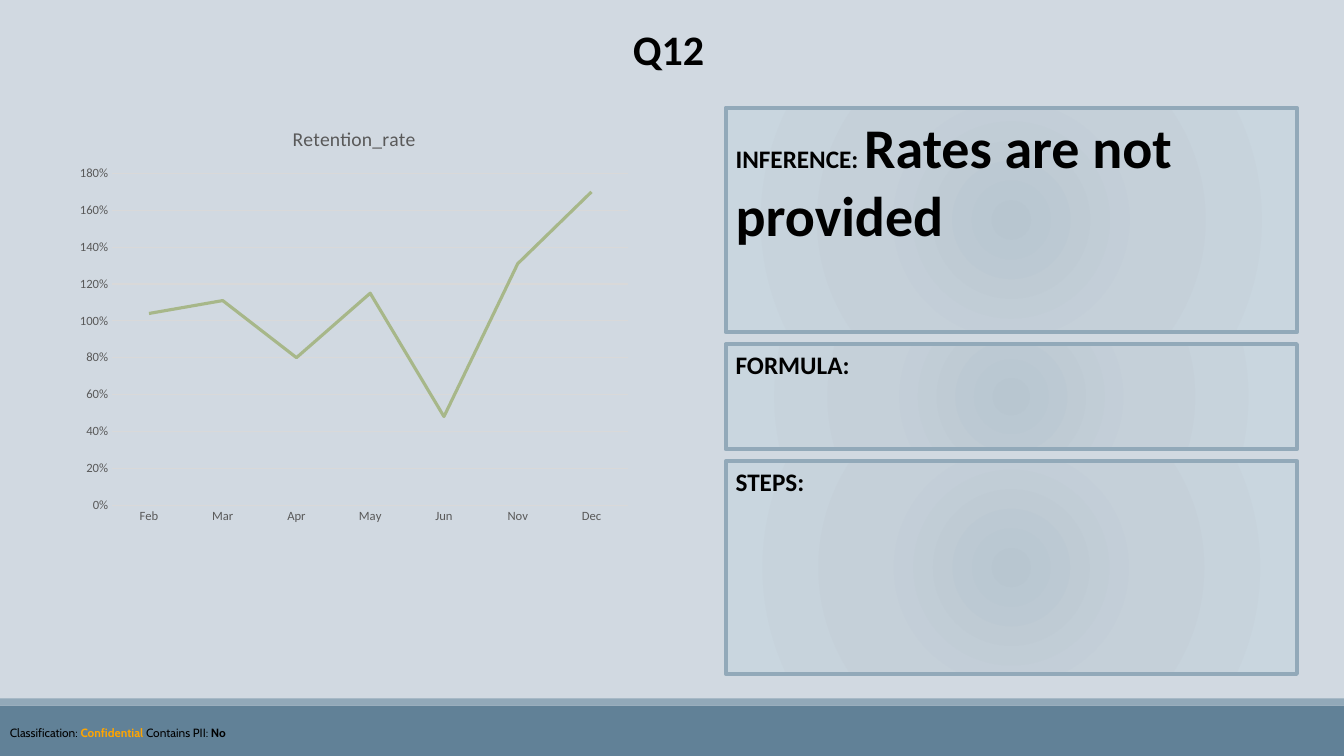
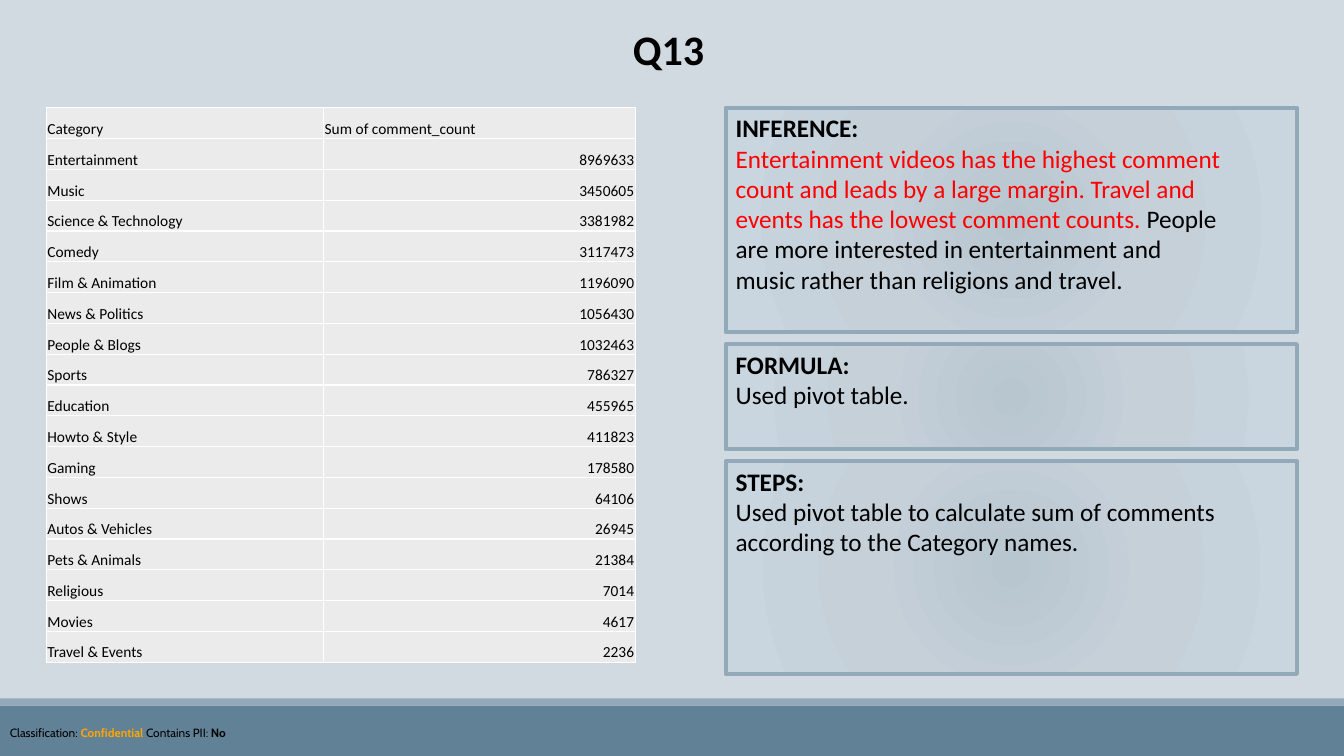
from pptx import Presentation, oxml
from pptx import util as u
from pptx.chart import data as chart_data
from pptx.dml import color
from pptx.enum import chart as charts, shapes, text
from pptx.oxml import ns

COLORS = {
    "page": "D1D9E1", "band": "618197", "trim": "92A9B9", "black": "000000",
    "orange": "FFA500", "red": "FF0000", "cell": "EBEBEB", "white": "FFFFFF",
    "line": "A7B789", "grid": "D9D9D9", "label": "595959",
    "core": "B8C6D0", "middle": "C5D0D9", "rim": "C9D6DF",
}
FONT, FOOTER_FONT = "Calibri", "Cabin"
WIDTH, HEIGHT = u.Inches(13.33), u.Inches(7.5)
COLUMNS, ROWS = 160, 90
TOP = 12.84
GAP = 1.44
PANEL_LEFT, PANEL_WIDTH, PANEL_TEXT_WIDTH = 86.4, 68, 60.24
PANEL_HEIGHTS = (26.7, 12.5, 25.3)

RETENTION = {"Feb": 1.04, "Mar": 1.11, "Apr": 0.8, "May": 1.15,
             "Jun": 0.48, "Nov": 1.31, "Dec": 1.7}
COMMENTS = [
    ("Category", "Sum of comment_count"),
    ("Entertainment", 8969633), ("Music", 3450605),
    ("Science & Technology", 3381982), ("Comedy", 3117473),
    ("Film & Animation", 1196090), ("News & Politics", 1056430),
    ("People & Blogs", 1032463), ("Sports", 786327), ("Education", 455965),
    ("Howto & Style", 411823), ("Gaming", 178580), ("Shows", 64106),
    ("Autos & Vehicles", 26945), ("Pets & Animals", 21384),
    ("Religious", 7014), ("Movies", 4617), ("Travel & Events", 2236),
]


def rgb(name):
    """Return the named palette colour."""
    return color.RGBColor.from_string(COLORS[name])


def place(box):
    """Turn grid columns and rows into slide lengths."""
    left, top, width, height = box
    return (int(left * WIDTH / COLUMNS), int(top * HEIGHT / ROWS),
            int(width * WIDTH / COLUMNS), int(height * HEIGHT / ROWS))


def style_font(font, size, name="black", bold=False, face=FONT):
    """Set the face, size, colour and weight of a font."""
    font.name, font.size, font.bold = face, u.Pt(size), bold
    font.color.rgb = rgb(name)


def add_spans(para, spans, face=FONT):
    """Add runs given as (words, size, colour, bold)."""
    for words, size, name, bold in spans:
        span = para.add_run()
        span.text = words
        style_font(span.font, size, name, bold, face)


def add_text(page, box, paras, face=FONT):
    """Add a wrapping text box with one list of runs per paragraph."""
    frame = page.shapes.add_textbox(*place(box)).text_frame
    frame.word_wrap = True
    frame.auto_size = text.MSO_AUTO_SIZE.SHAPE_TO_FIT_TEXT
    for index, spans in enumerate(paras):
        para = frame.add_paragraph() if index else frame.paragraphs[0]
        add_spans(para, spans, face)


def add_rectangle(page, box):
    """Add a rectangle without shadow or outline."""
    shape = page.shapes.add_shape(shapes.MSO_SHAPE.RECTANGLE, *place(box))
    shape.shadow.inherit = False
    shape.line.fill.background()
    return shape


def add_footer(page):
    """Draw the two bottom bands and the classification line."""
    for box, name in (((0, 84, COLUMNS, 6), "band"),
                      ((0, 83.16, COLUMNS, 0.84), "trim")):
        band = add_rectangle(page, box)
        band.fill.solid()
        band.fill.fore_color.rgb = rgb(name)
    add_text(page, (0, 85.8, COLUMNS, 2.9), [[
        ("Classification: ", 8.5, "black", False),
        ("Confidential", 8.5, "orange", True),
        (" Contains PII: ", 8.5, "black", False),
        ("No", 8.5, "black", True),
    ]], FOOTER_FONT)


def add_panel(page, box, text_height, paras):
    """Draw a framed panel with a radial gradient and its text."""
    panel = add_rectangle(page, box)
    panel.line.color.rgb = rgb("trim")
    panel.line.width = u.Pt(3)
    stops = "".join(
        f'<a:gs pos="{share * 1000}"><a:srgbClr val="{COLORS[name]}"/></a:gs>'
        for share, name in ((0, "core"), (45, "middle"), (100, "rim")))
    gradient = oxml.parse_xml(
        f'<a:gradFill {ns.nsdecls("a")} rotWithShape="1"><a:gsLst>{stops}</a:gsLst>'
        '<a:path path="circle"><a:fillToRect l="100000" t="100000" '
        'r="100000" b="100000"/></a:path></a:gradFill>')
    panel.element.spPr.find(ns.qn("a:prstGeom")).addnext(gradient)
    left, top, _, _ = box
    add_text(page, (left, top, PANEL_TEXT_WIDTH, text_height), paras)


def add_panels(page, contents):
    """Stack the three panels down the right side."""
    top = TOP
    for height, (text_height, paras) in zip(PANEL_HEIGHTS, contents):
        add_panel(page, (PANEL_LEFT, top, PANEL_WIDTH, height), text_height, paras)
        top += height + GAP


def add_retention_chart(page, box):
    """Draw the retention rate line chart."""
    data = chart_data.CategoryChartData(number_format="0%")
    data.categories = list(RETENTION)
    data.add_series("Retention_rate", list(RETENTION.values()))
    chart = page.shapes.add_chart(
        charts.XL_CHART_TYPE.LINE, *place(box), data).chart
    style_font(chart.font, 10)
    chart.has_legend = False
    chart.has_title = True
    add_spans(chart.chart_title.text_frame.paragraphs[0],
              [("Retention_rate", 14, "label", False)])
    chart.chart_title.include_in_layout = False
    plot = chart.plots[0]
    plot.vary_by_categories = False
    series = plot.series[0]
    series.smooth = False
    series.marker.style = charts.XL_MARKER_STYLE.NONE
    series.format.line.color.rgb = rgb("line")
    series.format.line.width = u.Pt(2.25)
    for axis in (chart.category_axis, chart.value_axis):
        style_font(axis.tick_labels.font, 9, "label")
        axis.major_tick_mark = axis.minor_tick_mark = charts.XL_TICK_MARK.NONE
    values = chart.value_axis
    values.minimum_scale, values.maximum_scale, values.major_unit = 0, 1.8, 0.2
    values.tick_labels.number_format = "0%"
    values.tick_labels.number_format_is_linked = False
    values.format.line.fill.background()
    for line in (values.major_gridlines.format.line,
                 chart.category_axis.format.line):
        line.color.rgb = rgb("grid")
        line.width = u.Pt(0.75)


def fill_cell(cell, value):
    """Write one table cell with its fill, insets and white borders."""
    cell.margin_left = cell.margin_right = cell.margin_top = u.Inches(0.01)
    cell.margin_bottom = 0
    cell.vertical_anchor = text.MSO_ANCHOR.BOTTOM
    cell.fill.solid()
    cell.fill.fore_color.rgb = rgb("cell")
    para = cell.text_frame.paragraphs[0]
    para.alignment = (text.PP_ALIGN.RIGHT if isinstance(value, int)
                      else text.PP_ALIGN.LEFT)
    add_spans(para, [(str(value), 11, "black", False)])
    properties = cell._tc.get_or_add_tcPr()
    for index, side in enumerate("LRTB"):
        properties.insert(index, oxml.parse_xml(
            f'<a:ln{side} {ns.nsdecls("a")} w="12700"><a:solidFill>'
            f'<a:srgbClr val="{COLORS["white"]}"/></a:solidFill></a:ln{side}>'))


def add_comment_table(page, box):
    """Draw the table of comment counts by category."""
    table = page.shapes.add_table(len(COMMENTS), 2, *place(box)).table
    table.first_row = table.horz_banding = False
    table.columns[0].width = u.Inches(2.75)
    table.columns[1].width = u.Inches(3.09)
    for row, values in enumerate(COMMENTS):
        for column, value in enumerate(values):
            fill_cell(table.cell(row, column), value)


def heading(words):
    """Return the bold run that opens a panel."""
    return (words, 18, "black", True)


def add_page(deck, title, contents):
    """Add a page with footer, title and the three panels."""
    page = deck.slides.add_slide(deck.slide_layouts[6])
    add_footer(page)
    add_panels(page, contents)
    add_text(page, (74.16, 2.16, 44.88, 7.3), [[(title, 30, "black", True)]])
    return page


def build_retention_page(deck):
    """Build the page with the line chart."""
    page = add_page(deck, "Q12", [
        (17.4, [[heading("INFERENCE: "),
                 ("Rates are not provided", 40, "black", True)]]),
        (4.8, [[heading("FORMULA:")]]),
        (8.5, [[heading("STEPS:")]]),
    ])
    add_retention_chart(page, (8.16, TOP, 68, 50.52))


def build_comment_page(deck):
    """Build the page with the category table."""
    page = add_page(deck, "Q13", [
        (23, [[heading("INFERENCE:")], [
            ("Entertainment videos has the highest comment count and leads by "
             "a large margin. Travel and events has the lowest comment counts. ",
             18, "red", False),
            ("People are more interested in entertainment and music rather "
             "than religions and travel.", 18, "black", False)]]),
        (8.5, [[heading("FORMULA:")],
               [("Used pivot table.", 18, "black", False)]]),
        (15.7, [[heading("STEPS:")],
                [("Used pivot table to calculate sum of comments according to "
                  "the Category names.", 18, "black", False)]]),
    ])
    add_comment_table(page, (5.52, TOP, 70, 66))


def main():
    """Build and save the deck."""
    deck = Presentation()
    deck.slide_width, deck.slide_height = WIDTH, HEIGHT
    backdrop = deck.slide_master.background.fill
    backdrop.solid()
    backdrop.fore_color.rgb = rgb("page")
    build_retention_page(deck)
    build_comment_page(deck)
    deck.save("out.pptx")


if __name__ == "__main__":
    main()
